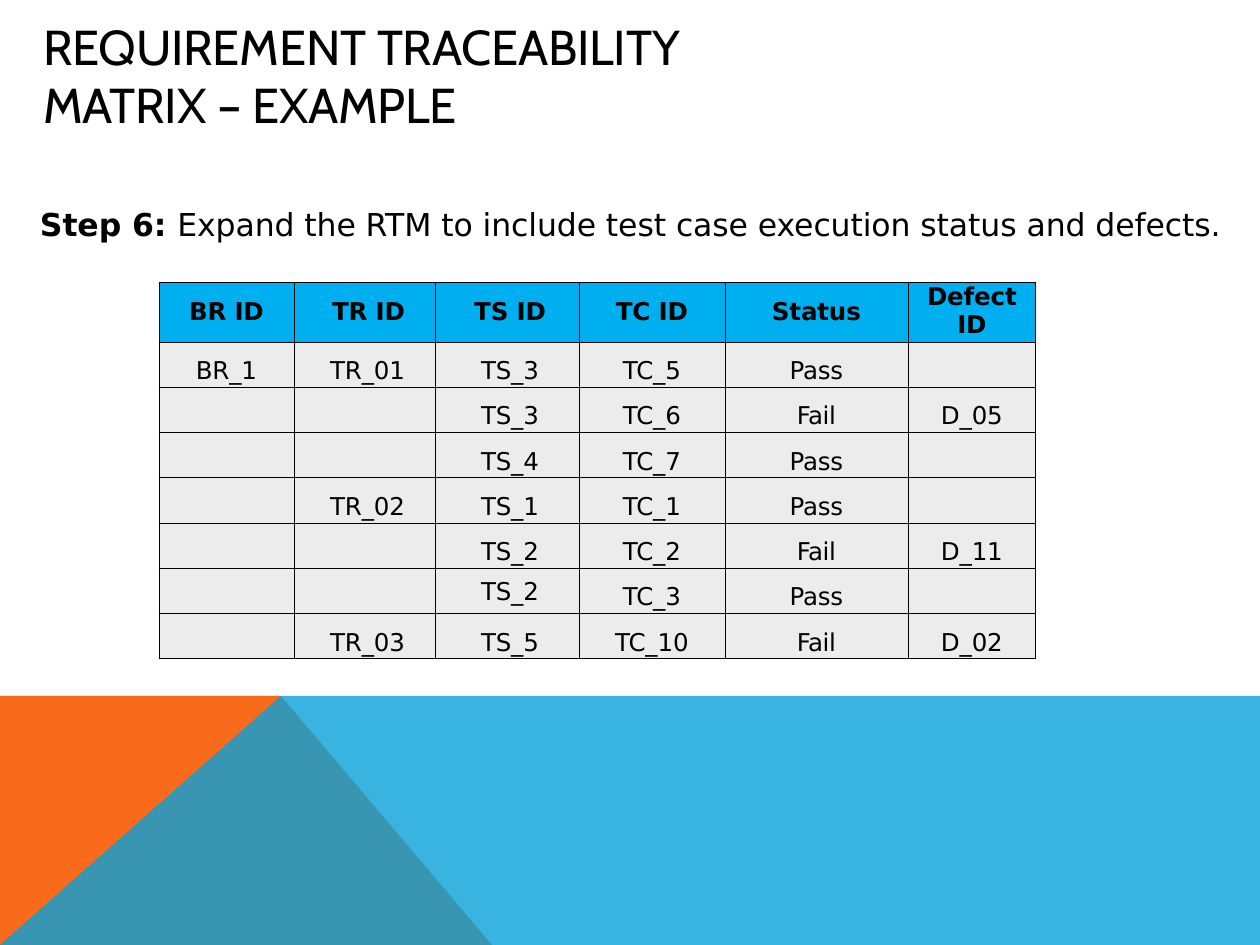
from lxml import etree
from pptx import Presentation
from pptx import util as u
from pptx.dml.color import RGBColor
from pptx.enum import text
from pptx.oxml import ns

PX_PER_INCH = 126
SCALE = u.Inches(1) / PX_PER_INCH

BLACK = RGBColor(0x00, 0x00, 0x00)
ORANGE = RGBColor(0xF9, 0x6A, 0x1B)
SKY = RGBColor(0x08, 0xA1, 0xD9)
HEADER_BLUE = RGBColor(0x00, 0xAF, 0xEF)
CELL_GREY = RGBColor(0xEC, 0xEC, 0xEC)

HEADERS = ["BR ID", "TR ID", "TS ID", "TC ID", "Status", "Defect\nID"]
RESULTS = [
    ["BR_1", "TR_01", "TS_3", "TC_5", "Pass", ""],
    ["", "", "TS_3", "TC_6", "Fail", "D_05"],
    ["", "", "TS_4", "TC_7", "Pass", ""],
    ["", "TR_02", "TS_1", "TC_1", "Pass", ""],
    ["", "", "TS_2", "TC_2", "Fail", "D_11"],
    ["", "", "TS_2", "TC_3", "Pass", ""],
    ["", "TR_03", "TS_5", "TC_10", "Fail", "D_02"],
]
COLUMN_WIDTHS = [135, 141, 144, 146, 183, 128]
HEADER_HEIGHT = 60
BODY_HEIGHT = 317
TOP_INSET = 16
RAISED_CELL = (6, 2)
RIGHT_INSETS = {"TR": 30, "TS": 40}
HEADER_RIGHT_INSETS = {"TR": 30, "TS": 33}


def px(length):
    return u.Emu(round(length * SCALE))


def format_paragraph(paragraph, font_name, size, tracking, bold=None):
    font = paragraph.font
    font.name, font.size, font.bold = font_name, u.Pt(size), bold
    font.color.rgb = BLACK
    font._rPr.set("spc", str(tracking))


def set_insets(frame, left=0, top=0, right=0, bottom=0):
    frame.margin_left, frame.margin_top = px(left), px(top)
    frame.margin_right, frame.margin_bottom = px(right), px(bottom)


def add_band(slide, corners, color, opacity=100):
    outline = slide.shapes.build_freeform(*corners[0], scale=SCALE)
    outline.add_line_segments(corners[1:], close=True)
    band = outline.convert_to_shape()
    band.shadow.inherit = False
    band.line.fill.background()
    band.fill.solid()
    band.fill.fore_color.rgb = color
    if opacity < 100:
        tint = band._element.spPr.find(".//" + ns.qn("a:srgbClr"))
        etree.SubElement(tint, ns.qn("a:alpha")).set("val", str(opacity * 1000))


def add_title(slide):
    title = slide.shapes.title
    title.left, title.top, title.width, title.height = map(px, (42, 52, 757, 45))
    frame = title.text_frame
    frame.text = "REQUIREMENT TRACEABILITY MATRIX – EXAMPLE"
    frame.word_wrap = True
    frame.auto_size = text.MSO_AUTO_SIZE.NONE
    frame.vertical_anchor = text.MSO_ANCHOR.MIDDLE
    set_insets(frame, left=1, top=1)
    heading = frame.paragraphs[0]
    heading.alignment = text.PP_ALIGN.LEFT
    heading.space_before = u.Pt(0.9)
    format_paragraph(heading, "Cabin", 28, -10)


def add_step(slide):
    frame = slide.shapes.add_textbox(*map(px, (39, 204, 1192, 42))).text_frame
    frame.word_wrap = True
    set_insets(frame, left=1, top=1)
    step = frame.paragraphs[0]
    step.space_before = u.Pt(1)
    format_paragraph(step, "DejaVu Sans", 18, -5)
    label = step.add_run()
    label.text = "Step 6: "
    label.font.bold = True
    step.add_run().text = (
        "Expand the RTM to include test case execution status and defects."
    )


def add_borders(cell):
    properties = cell._tc.get_or_add_tcPr()
    for side in ("a:lnL", "a:lnR", "a:lnT", "a:lnB"):
        border = etree.SubElement(properties, ns.qn(side), w=str(u.Pt(0.5)))
        fill = etree.SubElement(border, ns.qn("a:solidFill"))
        etree.SubElement(fill, ns.qn("a:srgbClr"), val=str(BLACK))


def fill_cell(cell, wording, is_header, raised):
    add_borders(cell)
    cell.fill.solid()
    cell.fill.fore_color.rgb = HEADER_BLUE if is_header else CELL_GREY
    prefix = wording[:2]
    insets = HEADER_RIGHT_INSETS if is_header else RIGHT_INSETS
    two_lines = "\n" in wording
    top = 1 if two_lines else 9 if raised else TOP_INSET
    set_insets(cell, top=top if wording else 0, right=insets.get(prefix, 0))
    cell.text_frame.text = wording
    for index, paragraph in enumerate(cell.text_frame.paragraphs):
        paragraph.alignment = (
            text.PP_ALIGN.RIGHT if prefix in insets else text.PP_ALIGN.CENTER
        )
        if index or not (is_header or raised):
            paragraph.line_spacing = u.Pt(15.8)
        tracking = -30 if wording == "Fail" else -10
        format_paragraph(paragraph, "DejaVu Sans", 14, tracking, is_header)


def add_matrix(slide):
    rows = [HEADERS] + RESULTS
    matrix = slide.shapes.add_table(
        len(rows), len(HEADERS), px(159), px(282),
        px(sum(COLUMN_WIDTHS)), px(HEADER_HEIGHT + BODY_HEIGHT),
    ).table
    matrix.first_row = matrix.horz_banding = False
    for column, width in zip(matrix.columns, COLUMN_WIDTHS):
        column.width = px(width)
    for r, entries in enumerate(rows):
        matrix.rows[r].height = (
            px(BODY_HEIGHT / len(RESULTS)) if r else px(HEADER_HEIGHT)
        )
        for c, wording in enumerate(entries):
            fill_cell(matrix.cell(r, c), wording, r == 0, (r, c) == RAISED_CELL)


def main():
    deck = Presentation()
    deck.slide_width, deck.slide_height = px(1260), px(945)
    slide = deck.slides.add_slide(deck.slide_layouts[5])
    add_band(slide, [(0, 945), (0, 696), (281, 696), (492, 945)], ORANGE)
    add_band(slide, [(0, 945), (281, 696), (1260, 696), (1260, 945)], SKY, 80)
    add_title(slide)
    add_step(slide)
    add_matrix(slide)
    deck.save("out.pptx")


if __name__ == "__main__":
    main()
